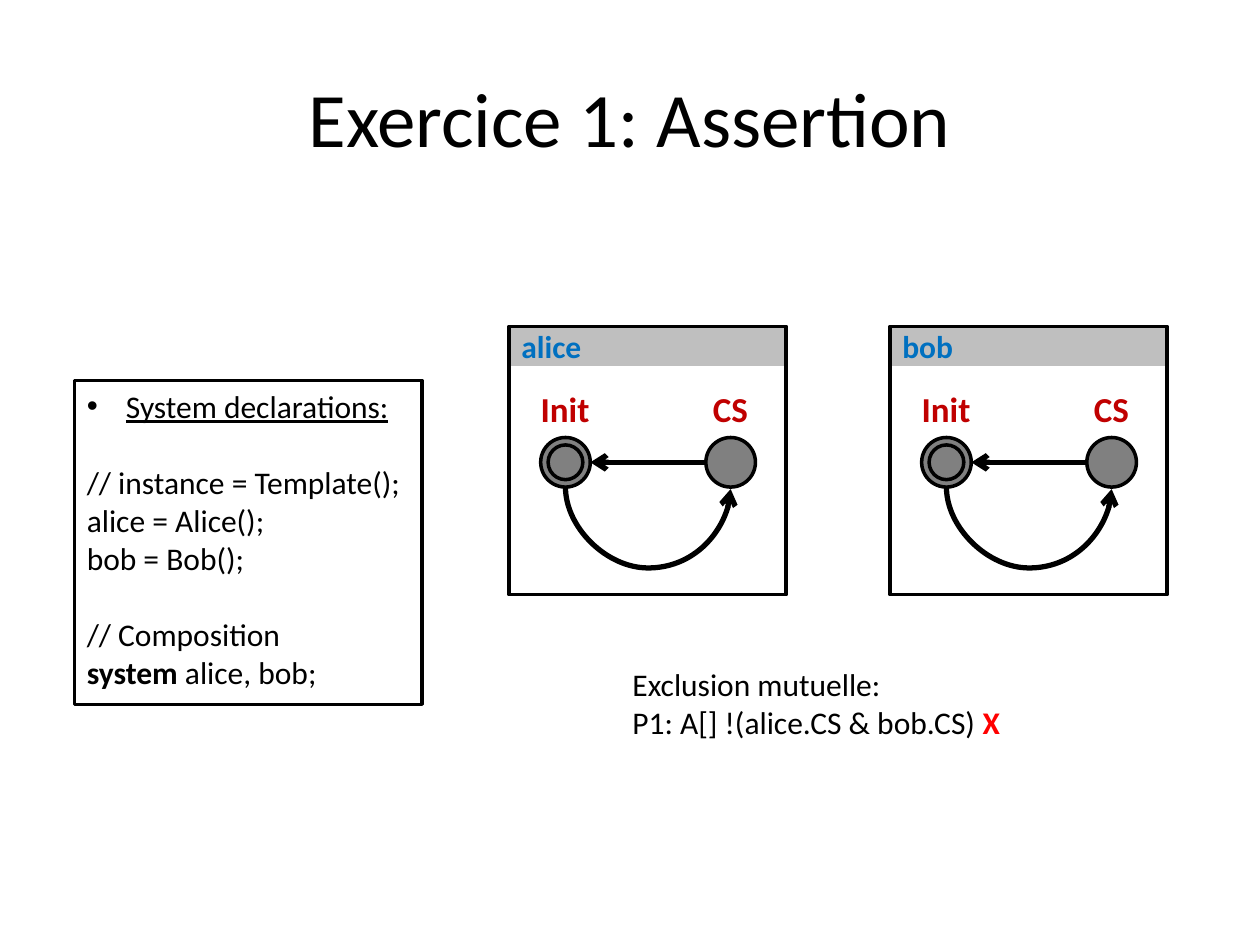
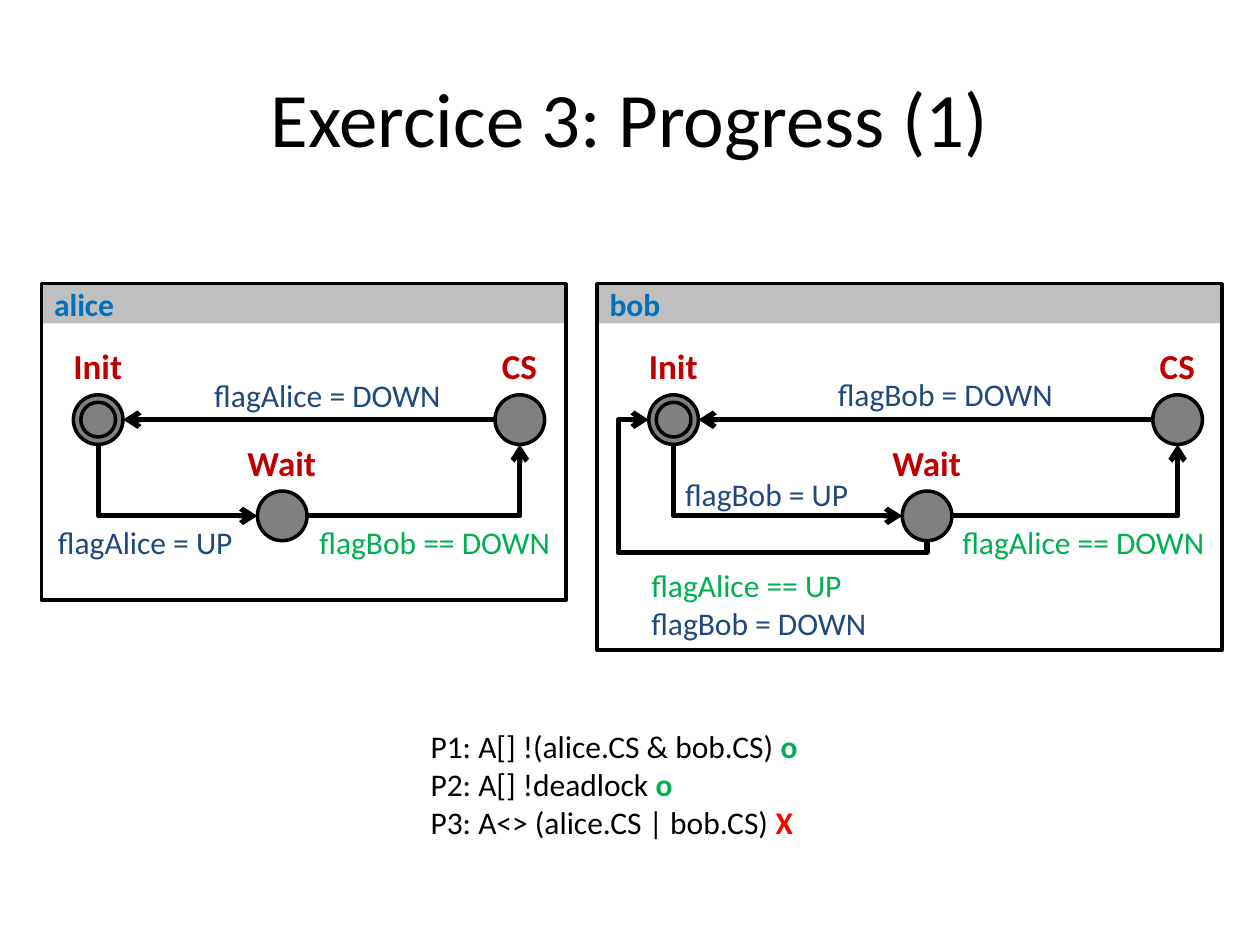
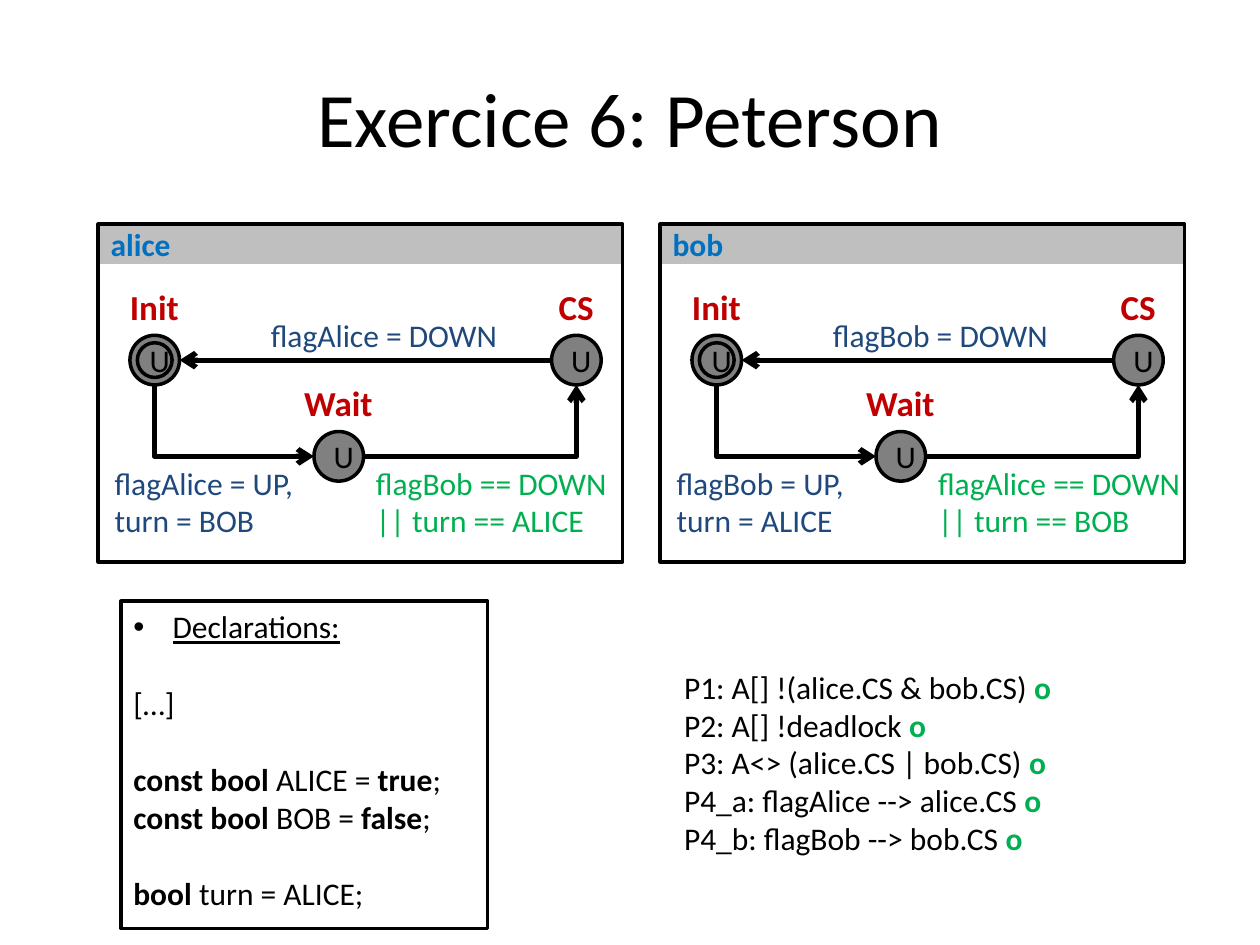
from dataclasses import dataclass

from lxml.etree import SubElement
from pptx import Presentation
from pptx.dml.color import RGBColor
from pptx.enum.shapes import MSO_CONNECTOR as Link, MSO_SHAPE as Preset
from pptx.enum.text import MSO_ANCHOR as Anchor, MSO_AUTO_SIZE as AutoSize, PP_ALIGN as Align
from pptx.oxml.ns import qn
from pptx.util import Cm, Pt


@dataclass(frozen=True)
class Theme:
    """Colours, font, type sizes and line widths (points)."""
    font: str = "Calibri"
    ink: str = "000000"
    band: str = "BFBFBF"
    node: str = "808080"
    name: str = "0070C0"
    state: str = "C00000"
    update: str = "1F497D"
    guard: str = "00B050"
    passed: str = "00B050"
    failed: str = "FF0000"
    title_size: int = 44
    state_size: int = 20
    body_size: int = 18
    blank_line: int = 22
    outline: int = 2
    arrow: int = 3


THEME = Theme()

# Automaton geometry, in centimetres
NODE = 1.0
RING_INSET = 0.15
BAND_HEIGHT = 0.8
NODE_TOP = 2.24
WAIT_DROP = 1.94
LABEL_RISE = 1.13
LABEL_WIDTHS = {"Init": 1.5, "CS": 1.22, "Wait": 1.9}


@dataclass
class Line:
    """One paragraph: runs are strings or (string, format) pairs."""
    runs: list
    gap: bool = False
    bullet: bool = False


@dataclass
class Automaton:
    """Frame of a process and the offsets of its states from that frame."""
    name: str
    left: float
    top: float
    width: float
    height: float
    init: float = 0.64
    cs: float = 9.14
    wait: float = 4.35
    has_wait: bool = True
    mark: str = ""


def add_bullet(paragraph):
    """Give a paragraph a round bullet with a hanging indent."""
    properties = paragraph._p.get_or_add_pPr()
    properties.set("marL", str(Cm(0.79)))
    properties.set("indent", str(-Cm(0.79)))
    SubElement(properties, qn("a:buFont")).set("typeface", "Arial")
    SubElement(properties, qn("a:buChar")).set("char", "•")


def write(frame, lines, size=THEME.body_size, color=THEME.ink, bold=False,
          align=Align.LEFT, anchor=Anchor.TOP):
    """Fill a text frame with lines, all in one format unless a run overrides it."""
    frame.vertical_anchor = anchor
    for index, line in enumerate(lines):
        if isinstance(line, str):
            line = Line([line])
        paragraph = frame.add_paragraph() if index else frame.paragraphs[0]
        paragraph.alignment = align
        if line.gap:
            paragraph.space_before = Pt(THEME.blank_line)
        if line.bullet:
            add_bullet(paragraph)
        for item in line.runs:
            text, own = (item, {}) if isinstance(item, str) else item
            run = paragraph.add_run()
            run.text = text
            font = run.font
            font.name, font.size = THEME.font, Pt(size)
            font.bold = own.get("bold", bold)
            font.underline = own.get("underline", False)
            font.color.rgb = RGBColor.from_string(own.get("color", color))


def bold(text):
    """Return a bold run."""
    return text, {"bold": True}


def heading(text):
    """Return the bulleted, underlined first line of a code box."""
    return Line([(text, {"underline": True})], bullet=True)


def verdict(formula, holds=True):
    """Return a property line that ends with its result."""
    color = THEME.passed if holds else THEME.failed
    return Line([formula + " ", ("o" if holds else "X", {"bold": True, "color": color})])


class Deck:
    """Holds the presentation and the slide being drawn."""

    def __init__(self):
        """Start a 10 by 7.5 inch presentation."""
        self.presentation = Presentation()
        self.presentation.slide_width = Cm(25.4)
        self.presentation.slide_height = Cm(19.05)
        self.slide = None

    def new_slide(self, title):
        """Add a slide with a centred title."""
        self.slide = self.presentation.slides.add_slide(self.presentation.slide_layouts[5])
        shape = self.slide.shapes.title
        shape.left, shape.top, shape.width, shape.height = map(Cm, (1.27, 0.76, 22.86, 3.18))
        write(shape.text_frame, [title], size=THEME.title_size,
              align=Align.CENTER, anchor=Anchor.MIDDLE)

    def shape(self, preset, left, top, width, height, fill=None, outlined=True, parent=None):
        """Add a flat preset shape to the slide or to a group."""
        shapes = (parent or self.slide).shapes
        shape = shapes.add_shape(preset, *map(Cm, (left, top, width, height)))
        shape.shadow.inherit = False
        if fill:
            shape.fill.solid()
            shape.fill.fore_color.rgb = RGBColor.from_string(fill)
        else:
            shape.fill.background()
        if outlined:
            shape.line.color.rgb = RGBColor.from_string(THEME.ink)
            shape.line.width = Pt(THEME.outline)
        else:
            shape.line.fill.background()
        return shape

    def note(self, left, top, width, lines, **style):
        """Add a text box that is as high as its lines."""
        box = self.slide.shapes.add_textbox(
            *map(Cm, (left, top, width, 0.25 + 0.77 * len(lines))))
        box.text_frame.word_wrap = False
        box.text_frame.auto_size = AutoSize.SHAPE_TO_FIT_TEXT
        write(box.text_frame, lines, **style)

    def code_box(self, left, top, width, height, lines):
        """Add an outlined box of declarations."""
        shape = self.shape(Preset.RECTANGLE, left, top, width, height)
        write(shape.text_frame, lines)

    def arrow(self, start, end, kind=Link.STRAIGHT, preset=None, turn=0, adjust=()):
        """Draw an arrow; a turn of 90 or 270 degrees rotates a mirrored connector."""
        (x1, y1), (x2, y2) = start, end
        if turn:
            middle_x, middle_y = (x1 + x2) / 2, (y1 + y2) / 2
            half_width, half_height = abs(y2 - y1) / 2, abs(x2 - x1) / 2
            x1, x2 = middle_x + half_width, middle_x - half_width
            y1, y2 = middle_y - half_height, middle_y + half_height
        connector = self.slide.shapes.add_connector(kind, *map(Cm, (x1, y1, x2, y2)))
        connector.line.color.rgb = RGBColor.from_string(THEME.ink)
        connector.line.width = Pt(THEME.arrow)
        properties = connector._element.spPr
        SubElement(properties.find(qn("a:ln")), qn("a:tailEnd")).set("type", "arrow")
        SubElement(properties, qn("a:effectLst"))
        if turn:
            properties.find(qn("a:xfrm")).set("rot", str(turn * 60000))
        geometry = properties.find(qn("a:prstGeom"))
        if preset:
            geometry.set("prst", preset)
        for number, value in enumerate(adjust, 1):
            guide = SubElement(geometry.find(qn("a:avLst")), qn("a:gd"))
            guide.set("name", f"adj{number}")
            guide.set("fmla", f"val {round(value * 100000)}")

    def state(self, name, left, top, mark=""):
        """Draw a state with its name above; the initial one has a ring."""
        initial = name == "Init"
        group = self.slide.shapes.add_group_shape() if initial else None
        disc = self.shape(Preset.OVAL, left, top, NODE, NODE, fill=THEME.node, parent=group)
        if mark:
            write(disc.text_frame, [mark], align=Align.CENTER, anchor=Anchor.MIDDLE)
        if initial:
            ring = NODE - 2 * RING_INSET
            self.shape(Preset.OVAL, left + RING_INSET, top + RING_INSET, ring, ring,
                       parent=group)
        width = LABEL_WIDTHS[name]
        self.note(left + (NODE - width) / 2, top - LABEL_RISE, width, [name],
                  size=THEME.state_size, color=THEME.state, bold=True)

    def automaton(self, process):
        """Draw the frame, states and main transitions of a process."""
        left, top, half = process.left, process.top, NODE / 2
        band = self.shape(Preset.RECTANGLE, left, top, process.width, BAND_HEIGHT,
                          fill=THEME.band, outlined=False)
        write(band.text_frame, [process.name], color=THEME.name, bold=True,
              anchor=Anchor.MIDDLE)
        self.shape(Preset.RECTANGLE, left, top, process.width, process.height)
        init, cs, row = left + process.init, left + process.cs, top + NODE_TOP
        self.state("Init", init, row, process.mark)
        self.state("CS", cs, row, process.mark)
        self.arrow((cs, row + half), (init + NODE, row + half))
        bottom = row + NODE
        if process.has_wait:
            wait, wait_row = left + process.wait, row + WAIT_DROP
            self.state("Wait", wait, wait_row, process.mark)
            self.arrow((init + half, bottom), (wait, wait_row + half),
                       Link.ELBOW, "bentConnector2", turn=270)
            self.arrow((wait + NODE, wait_row + half), (cs + half, bottom),
                       Link.ELBOW, "bentConnector2")
        else:
            rise, dip = 0.04, 1.63
            self.arrow((init + half, bottom), (cs + half, bottom + rise),
                       Link.CURVE, turn=270, adjust=[dip / rise])

    def edge_note(self, process, x, y, width, lines, color):
        """Label a transition, placed from the corner of its process."""
        self.note(process.left + x, process.top + y, width, lines, color=color)


def assertion_slide(deck):
    """Two processes without synchronisation."""
    deck.new_slide("Exercice 1: Assertion")
    for name, left in (("alice", 10.26), ("bob", 17.94)):
        deck.automaton(Automaton(name, left, 6.58, 5.59, 5.41, cs=3.97, has_wait=False))
    deck.note(12.5, 13.28, 8, ["Exclusion mutuelle:",
                               verdict("P1: A[] !(alice.CS & bob.CS)", False)])
    deck.code_box(1.5, 7.67, 7.01, 6.53, [
        heading("System declarations:"),
        Line(["// instance = Template();"], gap=True),
        "alice = Alice();",
        "bob = Bob();",
        Line(["// Composition"], gap=True),
        Line([bold("system "), "alice, bob;"]),
    ])


def progress_slide(deck):
    """Processes with flags, where bob gives way."""
    deck.new_slide("Exercice 3: Progress (1)")
    alice = Automaton("alice", 0.84, 5.72, 10.57, 6.38)
    bob = Automaton("bob", 12.04, 5.72, 12.6, 7.39, init=1.04, cs=11.2, wait=6.15)
    for process in (alice, bob):
        deck.automaton(process)
    deck.edge_note(alice, 3.23, 1.73, 5.13, ["flagAlice = DOWN"], THEME.update)
    deck.edge_note(alice, 0.08, 4.7, 4.06, ["flagAlice = UP"], THEME.update)
    deck.edge_note(alice, 5.35, 4.7, 5.23, ["flagBob == DOWN"], THEME.guard)
    deck.edge_note(bob, 4.6, 1.71, 4.9, ["flagBob = DOWN"], THEME.update)
    deck.edge_note(bob, 1.52, 3.73, 3.84, ["flagBob = UP"], THEME.update)
    deck.edge_note(bob, 7.11, 4.7, 5.46, ["flagAlice == DOWN"], THEME.guard)
    deck.edge_note(bob, 0.84, 5.56, 4.9, [
        "flagAlice == UP", Line([("flagBob = DOWN", {"color": THEME.update})])], THEME.guard)
    row = bob.top + NODE_TOP
    deck.arrow((bob.left + bob.wait + NODE / 2, row + WAIT_DROP + NODE),
               (bob.left + bob.init, row + NODE / 2),
               Link.ELBOW, "bentConnector4", turn=90, adjust=[-0.1, 1.11])
    deck.note(8.43, 14.53, 8, [
        verdict("P1: A[] !(alice.CS & bob.CS)"),
        verdict("P2: A[] !deadlock"),
        verdict("P3: A<> (alice.CS | bob.CS)", False),
    ])


def peterson_slide(deck):
    """Peterson's algorithm, with a turn variable."""
    deck.new_slide("Exercice 6: Peterson")
    deck.note(13.54, 13.34, 8, [verdict(formula) for formula in (
        "P1: A[] !(alice.CS & bob.CS)",
        "P2: A[] !deadlock",
        "P3: A<> (alice.CS | bob.CS)",
        "P4_a: flagAlice --> alice.CS",
        "P4_b: flagBob --> bob.CS",
    )])
    for name, other, left, widths in (("Alice", "Bob", 1.98, (5.13, 4.17, 5.23)),
                                      ("Bob", "Alice", 13.31, (4.9, 3.94, 5.46))):
        process = Automaton(name.lower(), left, 4.52, 10.57, 6.81, mark="U")
        down, up, guard = widths
        deck.automaton(process)
        deck.edge_note(process, 3.23, 1.73, down, [f"flag{name} = DOWN"], THEME.update)
        deck.edge_note(process, 0.08, 4.7, up,
                       [f"flag{name} = UP,", f"turn = {other.upper()}"], THEME.update)
        deck.edge_note(process, 5.35, 4.7, guard,
                       [f"flag{other} == DOWN", f"|| turn == {name.upper()}"], THEME.guard)
    deck.code_box(2.44, 12.12, 7.39, 6.6, [
        heading("Declarations:"),
        Line(["[…]"], gap=True),
        Line([bold("const bool "), "ALICE = ", bold("true"), ";"], gap=True),
        Line([bold("const bool "), "BOB = ", bold("false"), ";"]),
        Line([bold("bool "), "turn = ALICE;"], gap=True),
    ])


def main():
    """Build the three slides and save them."""
    deck = Deck()
    assertion_slide(deck)
    progress_slide(deck)
    peterson_slide(deck)
    deck.presentation.save("out.pptx")


main()
